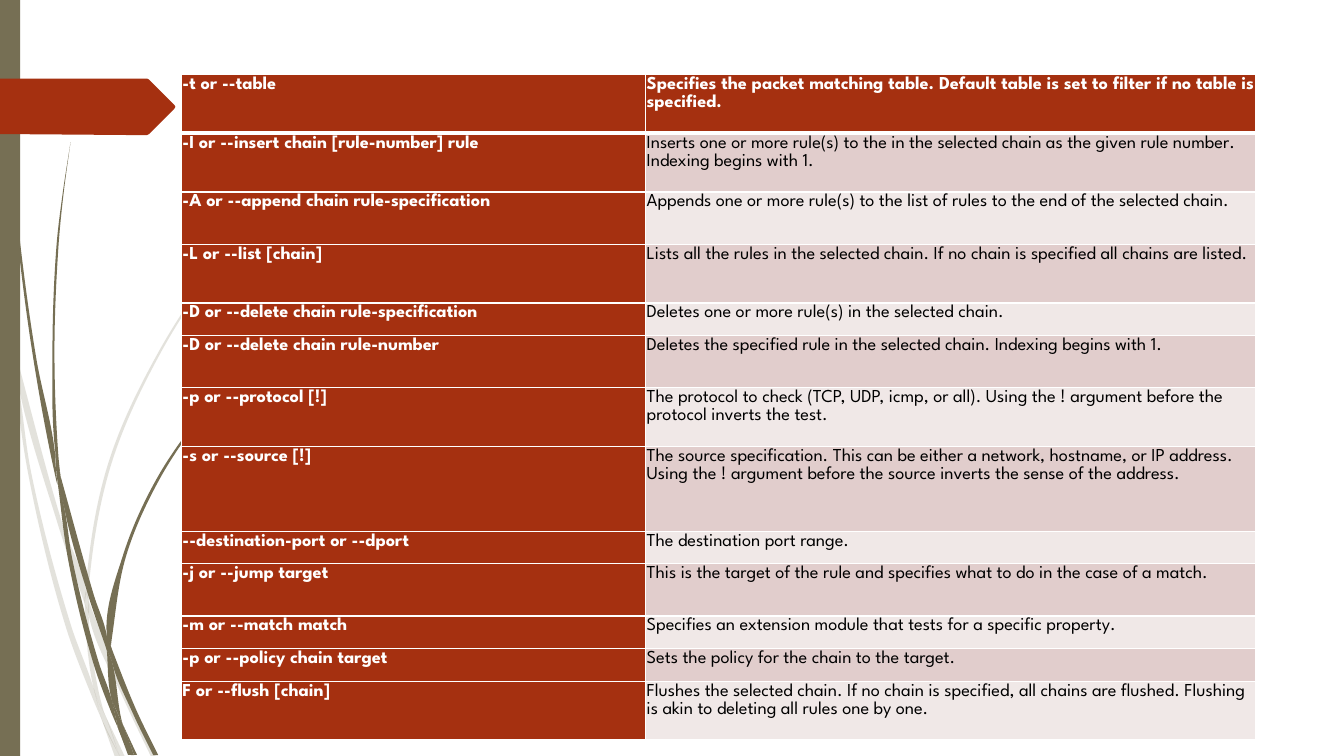
from dataclasses import dataclass

from lxml import etree
from pptx import Presentation
from pptx.dml.color import RGBColor
from pptx.enum.shapes import MSO_SHAPE
from pptx.enum.text import PP_ALIGN
from pptx.oxml.ns import qn
from pptx.util import Pt

RECT = MSO_SHAPE.RECTANGLE
LEFT = PP_ALIGN.LEFT


@dataclass(frozen=True)
class Theme:
    """Colours, font and type size of the slide."""
    olive: str = "766F54"
    rust: str = "A53010"
    rose: str = "E1CDCC"
    blush: str = "F0E8E7"
    white: str = "FFFFFF"
    black: str = "000000"
    font: str = "League Spartan"
    size: float = 13


THEME = Theme()
UNIT = 14.4  # steps of 0.05 pt in a hundredth of an inch
NBSP = "\u00a0"

# Outlines are x,y pairs in hundredths of an inch.
PALE = """
11,350 9,322 0,282 0,299 10,344
58,522 84,599 85,586 62,520 14,345 17,376
92,607 88,596 88,610 123,694 150,751 155,751 127,692
119,751 124,751 105,711
93,683 70,619 31,469 17,376 11,350 28,470 65,621 92,693 101,714 99,707
84,599 87,646 93,683 96,692 105,711 103,706 91,646 88,610 88,608
88,584 110,462 160,349 229,245 268,198 290,175 312,154 312,153 289,175 268,197 228,244 158,348 107,461 85,584 85,586 88,596
101,714 114,751 119,751
88,608 88,610 88,596 85,586 84,599
96,692 93,683 99,707 101,714 119,751 105,711
"""
DARK = """
7,110 17,233 33,355 56,477 57,481 55,457 55,453 36,355 19,232 8,109 5,48 4,0 3,0 4,48
88,592 106,645 106,633 106,631 93,590 60,472 64,505
113,649 110,641 111,656 132,708 152,749 157,749 136,706
110,691 98,657 72,556 64,505 57,477 68,557 93,659 111,708 117,722 116,717
60,472 58,453 54,349 58,245 63,193 70,141 62,193 56,245 52,349 55,449
133,749 136,749 122,719
57,477 64,505 60,472 55,449 55,453
111,633 125,552 158,476 205,406 231,374 245,359 261,344 260,344 245,358 231,373 204,405 156,474 122,551 106,631 110,641
117,722 127,749 131,749
106,645 110,691 116,706 122,719 121,716 111,656 109,651
106,645 109,651 111,656 110,641 106,631 106,633
116,706 110,691 116,717 117,722 130,749 133,749 122,719
"""
ARROW = "0,78 146,78 148,79 173,104 174,106 173,108 148,133 146,134 136,134 0,133"

TALL, MID, LOW, HIGH = 42, 37.3, 23.3, 60.5
ROWS = [
    (TALL, "-t or --table", "Specifies the packet matching table. "
     "Default table is set to filter if no table is specified."),
    (TALL, "-I or --insert chain [rule-number] rule",
     "Inserts one or more rule(s) to the in the selected chain as the "
     "given rule number. Indexing begins with 1."),
    (MID, "-A or --append chain rule-specification", "Appends one or more "
     "rule(s) to the list of rules to the end of the selected chain."),
    (TALL, "-L or --list [chain]", "Lists all the rules in the selected "
     "chain. If no chain is specified all chains are listed."),
    (LOW, "-D or --delete chain rule-specification",
     "Deletes one or more rule(s) in the selected chain."),
    (MID, "-D or --delete chain rule-number", "Deletes the specified rule "
     "in the selected chain. Indexing begins with 1."),
    (TALL, "-p or --protocol [!]", "The protocol to check (TCP, UDP, icmp, "
     "or all). Using the ! argument before the protocol inverts the test."),
    (HIGH, "-s or --source [!]", "The source specification. This can be "
     "either a network, hostname, or IP address. Using the ! argument "
     "before the source inverts the sense of the address."),
    (LOW, "--destination-port or --dport", "The destination port range."),
    (MID, "-j or --jump target", "This is the target of the rule and "
     "specifies what to do in the case of a match."),
    (LOW, "-m or --match match",
     "Specifies an extension module that tests for a specific property."),
    (LOW, "-p or --policy chain target",
     "Sets the policy for the chain to the target."),
    (TALL, "F or --flush [chain]", "Flushes the selected chain. If no chain "
     "is specified, all chains are flushed. Flushing is akin to deleting "
     "all rules one by one."),
]


def paint(shape, color, alpha=None):
    """Give a shape a flat fill, with no line or shadow."""
    shape.shadow.inherit = False
    shape.line.fill.background()
    shape.fill.solid()
    shape.fill.fore_color.rgb = RGBColor.from_string(color)
    if alpha:
        tint = shape.element.spPr.find(".//" + qn("a:srgbClr"))
        etree.SubElement(tint, qn("a:alpha")).set("val", str(alpha * 1000))


def parse(line):
    """Read x,y pairs as complex numbers in drawing steps."""
    pairs = [map(int, pair.split(",")) for pair in line.split()]
    return [complex(round(x * UNIT), round(y * UNIT)) for x, y in pairs]


def bend(shape, knots):
    """Turn straight sides into curves that round the gentle turns."""
    base = complex(min(k.real for k in knots), min(k.imag for k in knots))
    ends = knots[1:] + knots[:1]
    sides = [end - knot for knot, end in zip(knots, ends)]
    ways = [side / abs(side) for side in sides]
    sums = [ways[i - 1] + way for i, way in enumerate(ways)]
    lines = list(shape.element.iter(qn("a:lnTo")))
    for i, (line, side) in enumerate(zip(lines, sides)):
        j = (i + 1) % len(knots)
        out, into = (s / abs(s) if abs(s) > 1.9 else ways[i]
                     for s in (sums[i], sums[j]))
        reach = abs(side) / 3
        line.tag = qn("a:cubicBezTo")
        pulls = (knots[i] + out * reach, ends[i] - into * reach)
        for place, pull in enumerate(pulls):
            spot = pull - base
            line.insert(place, etree.Element(
                qn("a:pt"), x=str(round(spot.real)), y=str(round(spot.imag))))


def draw(slide, knots, color, alpha=None, curved=False):
    """Draw a closed outline."""
    pairs = [(int(k.real), int(k.imag)) for k in knots]
    pen = slide.shapes.build_freeform(*pairs[0], scale=Pt(0.05))
    pen.add_line_segments(pairs[1:] + pairs[:1] * curved, close=True)
    shape = pen.convert_to_shape()
    if curved:
        bend(shape, knots)
    paint(shape, color, alpha)


def wisps(slide, lines, color, alpha=None):
    """Draw a tuft of curved grass blades."""
    for line in lines.strip().splitlines():
        draw(slide, parse(line), color, alpha, True)


def bar(slide):
    """Draw the band along the left edge."""
    paint(slide.shapes.add_shape(RECT, 0, 0, Pt(14.4), Pt(540)), THEME.olive)


def edge(cell, side, wide):
    """Rule one side of a cell in white."""
    props = cell._tc.get_or_add_tcPr()
    line = etree.Element(qn("a:" + side), w=str(Pt(wide)))
    fill = etree.SubElement(line, qn("a:solidFill"))
    etree.SubElement(fill, qn("a:srgbClr"), val=THEME.white)
    props.insert(0, line)


def write(cell, text, fill, color, bold):
    """Fill a cell and set its text."""
    cell.fill.solid()
    cell.fill.fore_color.rgb = RGBColor.from_string(fill)
    cell.margin_left = cell.margin_right = Pt(0.75)
    cell.margin_top = cell.margin_bottom = Pt(0.75)
    para = cell.text_frame.paragraphs[0]
    para.alignment = LEFT
    para.line_spacing = 1.07
    para.space_after = Pt(8)
    run = para.add_run()
    run.text = text
    run.font.name = THEME.font
    run.font.size = Pt(THEME.size)
    run.font.bold = bold
    run.font.color.rgb = RGBColor.from_string(color)


def grid(slide):
    """Build the table of options and their meanings."""
    high = sum(row[0] for row in ROWS)
    frame = slide.shapes.add_table(len(ROWS), 2, Pt(129.6), Pt(53.2),
                                   Pt(767.2), Pt(high))
    table = frame.table
    table.horz_banding = False
    table.first_col = True
    for col, wide in zip(table.columns, (331.6, 435.6)):
        col.width = Pt(wide)
    for i, (tall, flag, note) in enumerate(ROWS):
        table.rows[i].height = Pt(tall)
        write(table.cell(i, 0), flag.replace(" ", NBSP),
              THEME.rust, THEME.white, True)
        band = THEME.rose if i % 2 else THEME.blush
        look = (band, THEME.black, False) if i else (
            THEME.rust, THEME.white, True)
        write(table.cell(i, 1), note.replace(" ! ", NBSP + "!" + NBSP), *look)
    for col in range(2):
        edge(table.cell(0, col), "lnB", 3)


def main():
    """Build and save the slide."""
    deck = Presentation()
    deck.slide_width, deck.slide_height = Pt(960), Pt(540)
    slide = deck.slides.add_slide(deck.slide_layouts[6])
    wisps(slide, PALE, THEME.olive, 20)
    wisps(slide, DARK, THEME.olive)
    bar(slide)
    draw(slide, parse(ARROW), THEME.rust)
    grid(slide)
    deck.save("out.pptx")


main()
